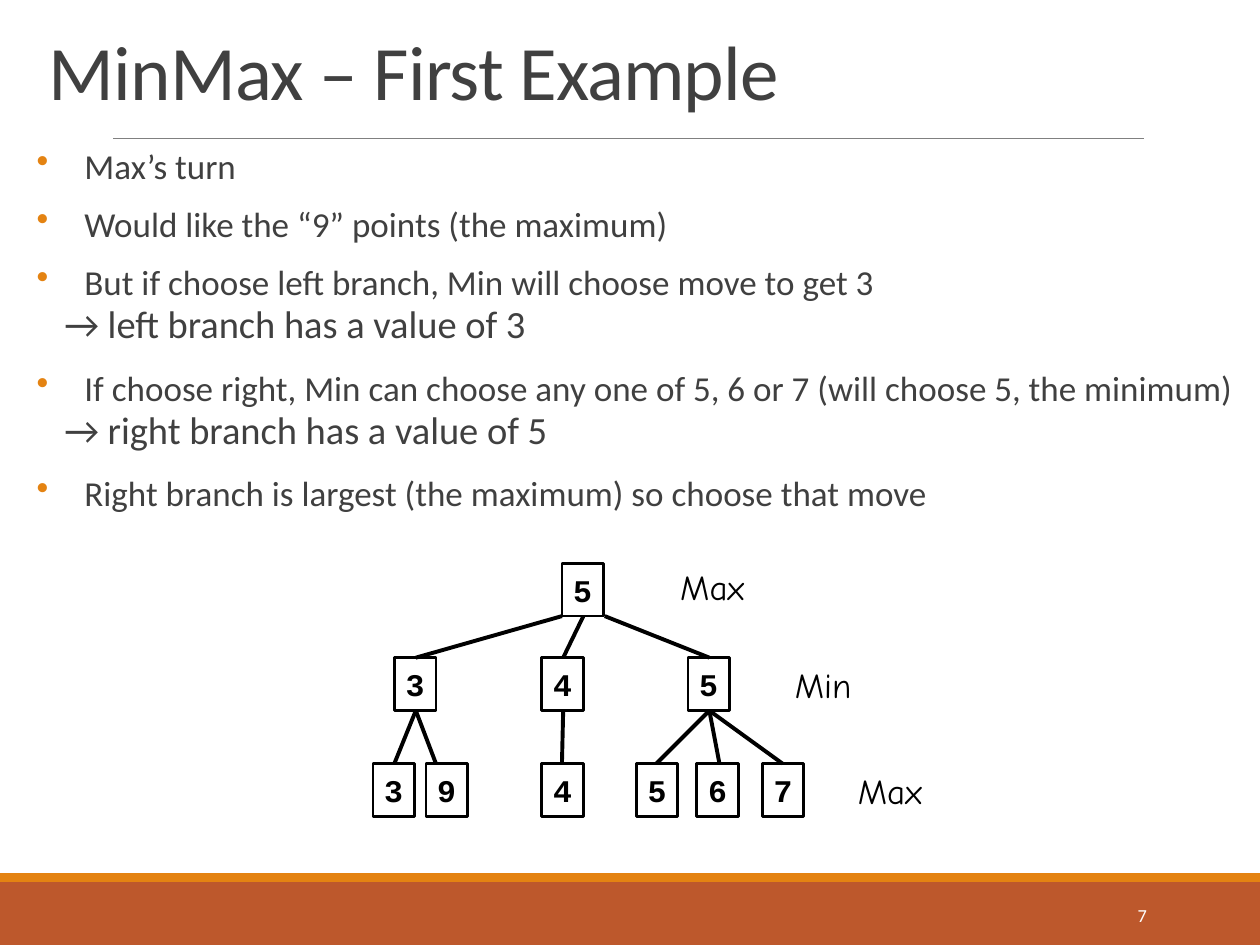
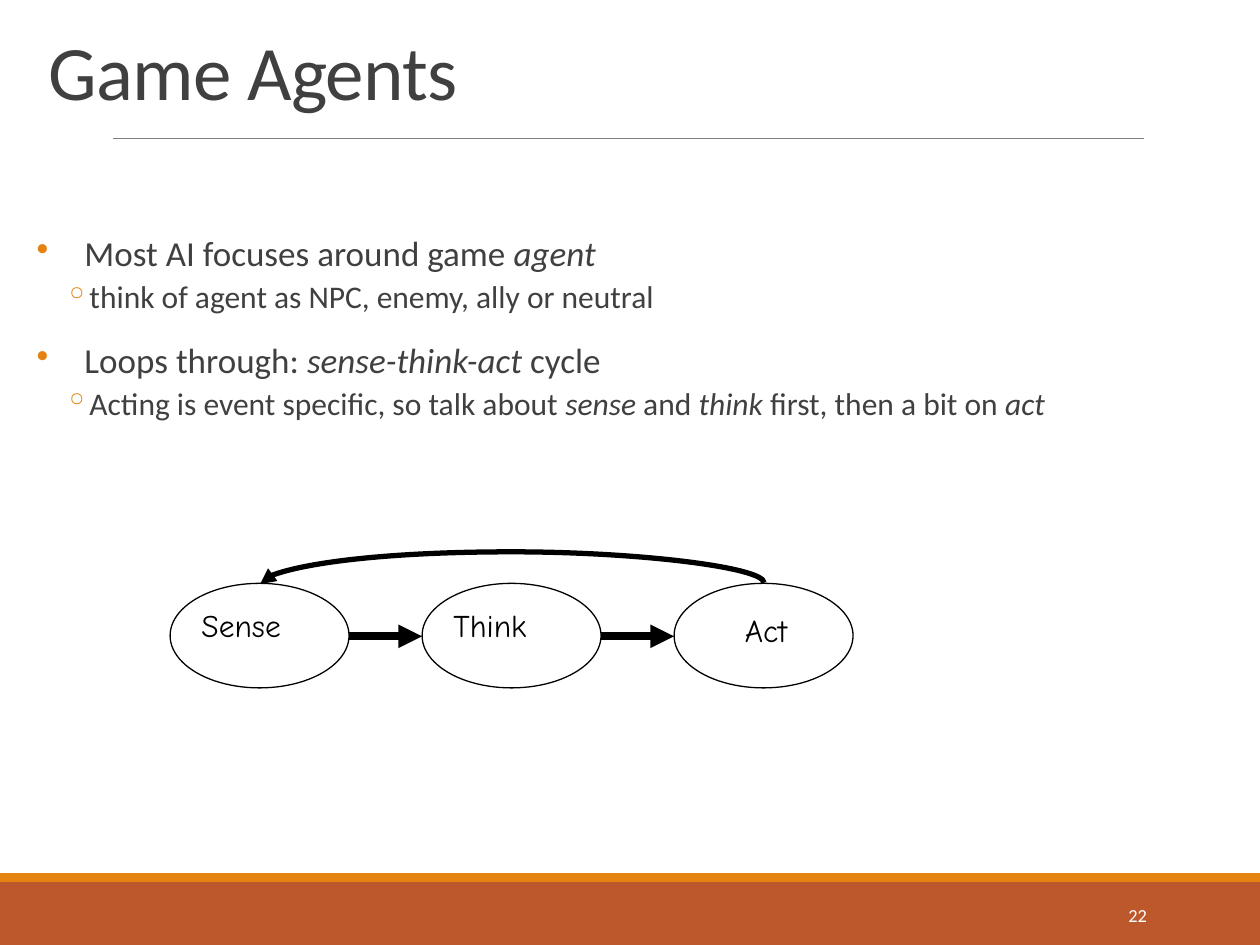
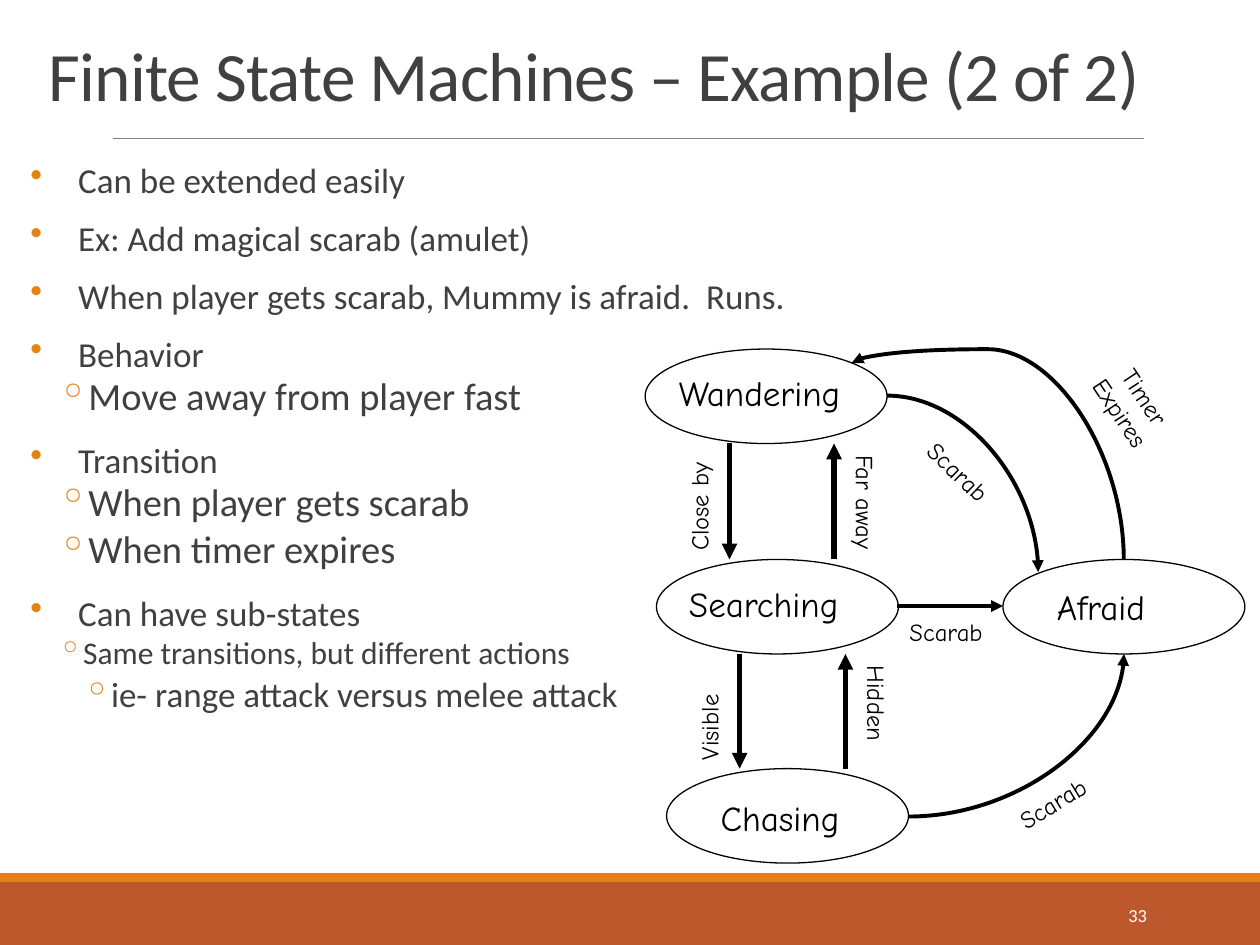
from pptx import Presentation
from pptx.dml.color import RGBColor
from pptx.enum.shapes import MSO_CONNECTOR, MSO_SHAPE
from pptx.enum.text import MSO_ANCHOR, MSO_AUTO_SIZE, PP_ALIGN
from pptx.oxml.ns import qn
from pptx.util import Emu, Pt
from lxml.etree import SubElement

PX = 9144
BLACK = RGBColor(0x00, 0x00, 0x00)
WHITE = RGBColor(0xFF, 0xFF, 0xFF)
INK = RGBColor(0x40, 0x40, 0x40)
RULE = RGBColor(0x80, 0x80, 0x80)
ORANGE = RGBColor(0xE4, 0x83, 0x12)
RUST = RGBColor(0xBD, 0x58, 0x2C)
SANS, HAND, MONO = "Calibri", "Comic Neue", "Courier New"
BULLETS = "•◦◦"
INDENTS = [(38, -38), (42, -20), (62, -20)]


def px(*lengths):
    """Turn px lengths into EMU."""
    return [Emu(round(length * PX)) for length in lengths]


def add_run(paragraph, text, size, font, color, bold=None, italic=None):
    """Append one styled run and return it."""
    run = paragraph.add_run()
    run.text = text
    run.font.size, run.font.name = Pt(size), font
    run.font.bold, run.font.italic = bold, italic
    run.font.color.rgb = color
    return run


def add_box(slide, left, top, width, height, anchor=MSO_ANCHOR.TOP):
    """Add a wrapping text box and return its frame."""
    frame = slide.shapes.add_textbox(*px(left, top, width, height)).text_frame
    frame.word_wrap, frame.vertical_anchor = True, anchor
    return frame


def add_label(slide, left, top, width, height, text, size,
              rotation=0, align=PP_ALIGN.LEFT):
    """Add a handwritten diagram label, one paragraph per line."""
    label = slide.shapes.add_textbox(*px(left, top, width, height))
    label.rotation = rotation
    frame = label.text_frame
    frame.word_wrap, frame.auto_size = False, MSO_AUTO_SIZE.SHAPE_TO_FIT_TEXT
    for index, line in enumerate(text.split("\n")):
        paragraph = frame.add_paragraph() if index else frame.paragraphs[0]
        paragraph.alignment = align
        add_run(paragraph, line, size, HAND, BLACK)


def add_outline(slide, preset, left, top, width, height, weight):
    """Add an unfilled black outlined shape."""
    outline = slide.shapes.add_shape(preset, *px(left, top, width, height))
    outline.shadow.inherit = False
    outline.fill.background()
    outline.line.color.rgb, outline.line.width = BLACK, Pt(weight)
    return outline


def add_line(slide, start, end, weight, color=BLACK, arrow=None,
             kind=MSO_CONNECTOR.STRAIGHT):
    """Add a connector with an optional headEnd or tailEnd arrow."""
    line = slide.shapes.add_connector(kind, *px(*start, *end))
    line.line.color.rgb, line.line.width = color, Pt(weight)
    properties = line.element.spPr
    if arrow:
        SubElement(properties.find(qn("a:ln")), qn("a:" + arrow), type="triangle")
    SubElement(properties, qn("a:effectLst"))
    return line


def add_curve(slide, start, end, weight, arrow="tailEnd", turn=0, bend=None):
    """Add a curved arrow: a quarter arc, or an S shape when bend is given."""
    curve = add_line(slide, start, end, weight, arrow=arrow, kind=MSO_CONNECTOR.CURVE)
    properties = curve.element.spPr
    properties.find(qn("a:xfrm")).set("rot", str(turn * 60000))
    geometry = properties.find(qn("a:prstGeom"))
    if bend is None:
        geometry.set("prst", "curvedConnector2")
        return
    adjustments = geometry.find(qn("a:avLst"))
    if adjustments is None:
        adjustments = SubElement(geometry, qn("a:avLst"))
    SubElement(adjustments, qn("a:gd"), name="adj1", fmla=f"val {round(bend * 100000)}")


def add_frame(prs, title, number, title_size=44):
    """Start a slide with its bands, rule, title and number."""
    slide = prs.slides.add_slide(prs.slide_layouts[6])
    for top, height, color in [(700, 50, RUST), (693, 7, ORANGE)]:
        band = slide.shapes.add_shape(MSO_SHAPE.RECTANGLE, *px(0, top, 1000, height))
        band.shadow.inherit = False
        band.fill.solid()
        band.fill.fore_color.rgb = color
        band.line.fill.background()
    add_line(slide, (90, 110), (908, 110), 0.5, RULE)
    heading = add_box(slide, 29, 18, 943, 79, MSO_ANCHOR.BOTTOM).paragraphs[0]
    heading.line_spacing = 0.85
    run = add_run(heading, title, title_size, SANS, INK)
    run.font._element.set("spc", "-50")
    page = add_box(slide, 812, 706, 108, 40, MSO_ANCHOR.MIDDLE).paragraphs[0]
    page.alignment = PP_ALIGN.RIGHT
    add_run(page, str(number), 10.5, SANS, WHITE)
    return slide


def set_bullet(paragraph, level, bulleted):
    """Give a paragraph its level's indent and orange bullet."""
    properties = paragraph._p.get_or_add_pPr()
    for name, length in zip(("marL", "indent"), px(*INDENTS[level])):
        properties.set(name, str(length))
    if bulleted:
        color = SubElement(properties, qn("a:buClr"))
        SubElement(color, qn("a:srgbClr"), val=str(ORANGE))
        SubElement(properties, qn("a:buChar"), char=BULLETS[level])
    else:
        SubElement(properties, qn("a:buNone"))


def add_body(slide, box, points, spacing):
    """Add the bullet list; text between asterisks is italic."""
    frame = add_box(slide, *box)
    frame.margin_left = frame.margin_right = 0
    for index, (level, size, text) in enumerate(points):
        paragraph = frame.add_paragraph() if index else frame.paragraphs[0]
        paragraph.level = level
        set_bullet(paragraph, level, not text.startswith("→"))
        paragraph.line_spacing = spacing
        paragraph.space_before = Pt((2 if level else 12) if index else 0)
        paragraph.space_after = Pt(4 if level else 2)
        for part, piece in enumerate(text.split("*")):
            if piece:
                add_run(paragraph, piece, size, SANS, INK, italic=part % 2 == 1)


def add_game_tree(slide, left, top):
    """Draw the three-level MinMax tree from its top left corner."""
    node_width, node_height = 33, 42
    branch_top, leaf_top = top + 75, top + 159

    def add_node(value, x, y):
        """Draw one scored node."""
        node = add_outline(slide, MSO_SHAPE.RECTANGLE, left + x, y,
                           node_width, node_height, 1.5)
        frame = node.text_frame
        frame.word_wrap, frame.vertical_anchor = False, MSO_ANCHOR.MIDDLE
        frame.paragraphs[0].alignment = PP_ALIGN.CENTER
        add_run(frame.paragraphs[0], value, 18, MONO, BLACK, bold=True)

    def add_link(child_x, child_top, parent_x, parent_top):
        """Join a child's top to its parent's bottom."""
        add_line(slide, (left + child_x, child_top),
                 (left + parent_x, parent_top + node_height), 2.25)

    branches = [
        ("3", 17, 150, [("3", 0, 17), ("9", 42, 50)]),
        ("4", 134, 167, [("4", 134, 150)]),
        ("5", 250, 184, [("5", 209, 225), ("6", 257, 275), ("7", 309, 325)]),
    ]
    add_node("5", 150, top)
    for value, x, root_x, leaves in branches:
        branch_x = x + node_width // 2 + 1
        add_node(value, x, branch_top)
        add_link(branch_x, branch_top, root_x, top)
        for leaf_value, leaf_x, link_x in leaves:
            add_node(leaf_value, leaf_x, leaf_top)
            add_link(link_x, leaf_top, branch_x, branch_top)
    for player, x, y, width in [("Max", 234, top - 3, 75), ("Min", 325, branch_top, 67),
                                ("Max", 375, leaf_top, 75)]:
        add_label(slide, left + x, y, width, 43, player, 20)


def add_agent_cycle(slide, left, top):
    """Draw the sense-think-act loop from its top left corner."""
    width, height, step = 142, 83, 200
    stages = [("Sense", 15, 13, 91, PP_ALIGN.LEFT), ("Think", 15, 13, 86, PP_ALIGN.LEFT),
              ("Act", 41, 17, 64, PP_ALIGN.CENTER)]
    for index, (stage, x, y, label_width, align) in enumerate(stages):
        stage_left = left + index * step
        add_outline(slide, MSO_SHAPE.OVAL, stage_left, top, width, height, 0.75)
        add_label(slide, stage_left + x, top + y, label_width, 40, stage, 18, align=align)
        if index:
            middle = top + height // 2 + 1
            add_line(slide, (stage_left - step + width, middle), (stage_left, middle),
                     4.5, arrow="tailEnd")
    center = left + step + width // 2
    add_curve(slide, (center + 1, top + step), (center, top - step), 3, turn=270, bend=-25)


def add_state_machine(slide, left, top):
    """Draw the mummy's states and transitions from the top left corner."""
    def at(x, y):
        """Shift a point into the diagram."""
        return left + x, top + y

    for state, x, y, label_x, label_y, label_width in [
            ("Wandering", 0, 0, 17, 13, 160), ("Searching", 9, 167, 16, 13, 150),
            ("Chasing", 17, 333, 33, 17, 118), ("Afraid", 284, 167, 33, 16, 106)]:
        add_outline(slide, MSO_SHAPE.OVAL, *at(x, y), 192, 75, 0.75)
        add_label(slide, *at(x + label_x, y + label_y), label_width, 43, state, 20)

    for start, end, weight in [
            ((67, 75), (67, 167), 3), ((75, 242), (75, 333), 3),
            ((150, 167), (150, 75), 3), ((159, 333), (159, 242), 3),
            ((200, 204), (284, 204), 2.25)]:
        add_line(slide, at(*start), at(*end), weight, arrow="tailEnd")

    add_curve(slide, at(350, -19), at(194, 197), 2.25, turn=90, bend=1.07)
    add_curve(slide, at(230, 221), at(359, 392), 2.25, "headEnd", turn=90)
    add_curve(slide, at(192, 37), at(312, 177), 2.25)

    for event, x, y, width, rotation in [
            ("Close by", -5, 106, 95, 270), ("Visible", 10, 279, 81, 270),
            ("Far away", 125, 108, 100, 90), ("Hidden", 142, 267, 84, 90),
            ("Scarab", 200, 208, 84, 0), ("Scarab", 209, 83, 84, 43.7),
            ("Scarab", 284, 342, 84, 328.5)]:
        add_label(slide, *at(x, y), width, 33, event, 14, rotation)
    add_label(slide, *at(342, 16), 90, 57, "Timer\nExpires", 14, 56.3, PP_ALIGN.CENTER)


def main():
    """Build the three slides."""
    prs = Presentation()
    prs.slide_width, prs.slide_height = px(1000, 750)

    minmax = add_frame(prs, "MinMax – First Example", 7)
    add_body(minmax, (29, 116, 971, 476), [
        (0, 20, "Max’s turn"),
        (0, 20, "Would like the “9” points (the maximum)"),
        (0, 20, "But if choose left branch, Min will choose move to get 3"),
        (1, 22, "→ left branch has a value of 3"),
        (0, 20, "If choose right, Min can choose any one of 5, 6 or 7 "
                "(will choose 5, the minimum)"),
        (1, 22, "→ right branch has a value of 5"),
        (0, 20, "Right branch is largest (the maximum) so choose that move"),
    ], 0.8)
    add_game_tree(minmax, 296, 447)

    agents = add_frame(prs, "Game Agents", 22)
    add_body(agents, (29, 183, 825, 194), [
        (0, 20, "Most AI focuses around game *agent*"),
        (1, 18, "think of agent as NPC, enemy, ally or neutral"),
        (0, 20, "Loops through: *sense-think-act* cycle"),
        (1, 18, "Acting is event specific, so talk about *sense *and *think* first, "
                "then a bit on *act*"),
    ], 0.9)
    add_agent_cycle(agents, 135, 463)

    machines = add_frame(prs, "Finite State Machines – Example (2 of 2)", 33, 39.6)
    add_body(machines, (24, 127, 622, 476), [
        (0, 20, "Can be extended easily"),
        (0, 20, "Ex: Add magical scarab (amulet)"),
        (0, 20, "When player gets scarab, Mummy is afraid.  Runs."),
        (0, 20, "Behavior"),
        (1, 22, "Move away from player fast"),
        (0, 20, "Transition"),
        (1, 22, "When player gets scarab"),
        (1, 22, "When timer expires"),
        (0, 20, "Can have sub-states"),
        (1, 18, "Same transitions, but different actions"),
        (2, 20, "ie- range attack versus melee attack"),
    ], 0.8)
    add_state_machine(machines, 512, 277)

    prs.save("out.pptx")


if __name__ == "__main__":
    main()
